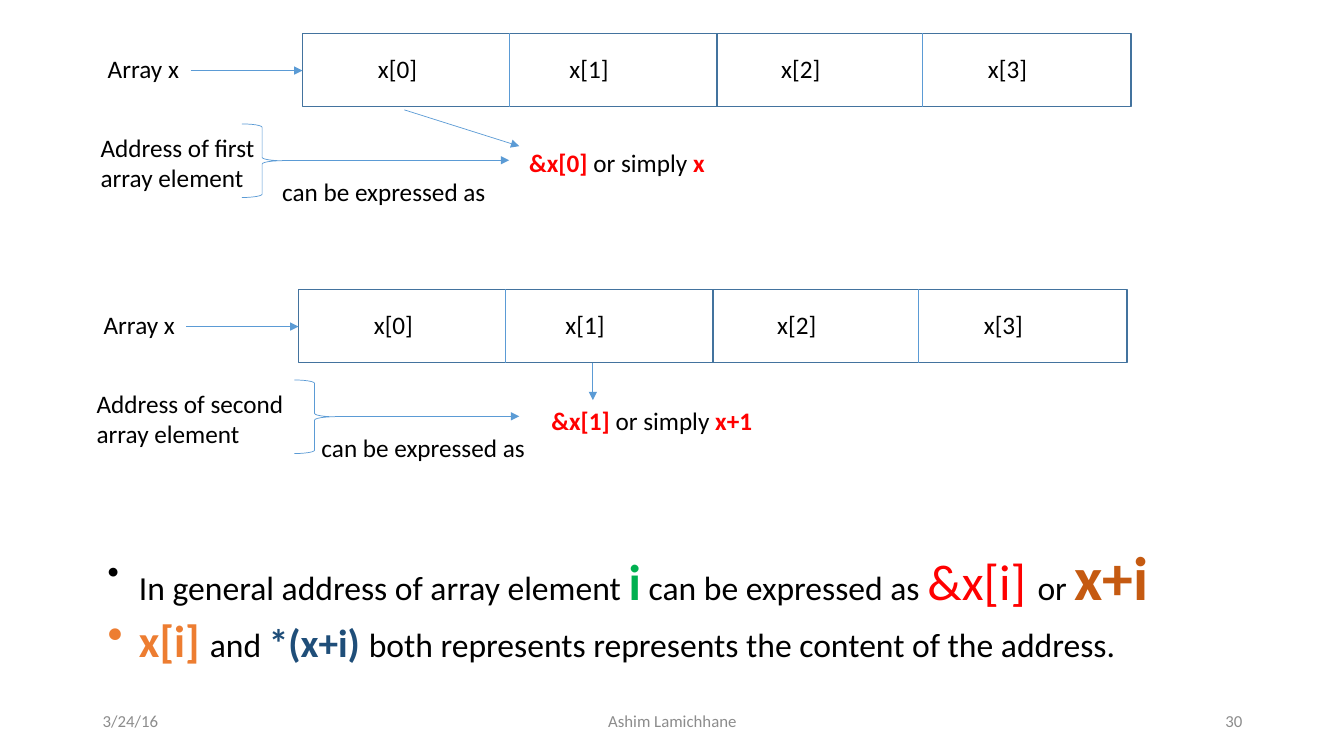
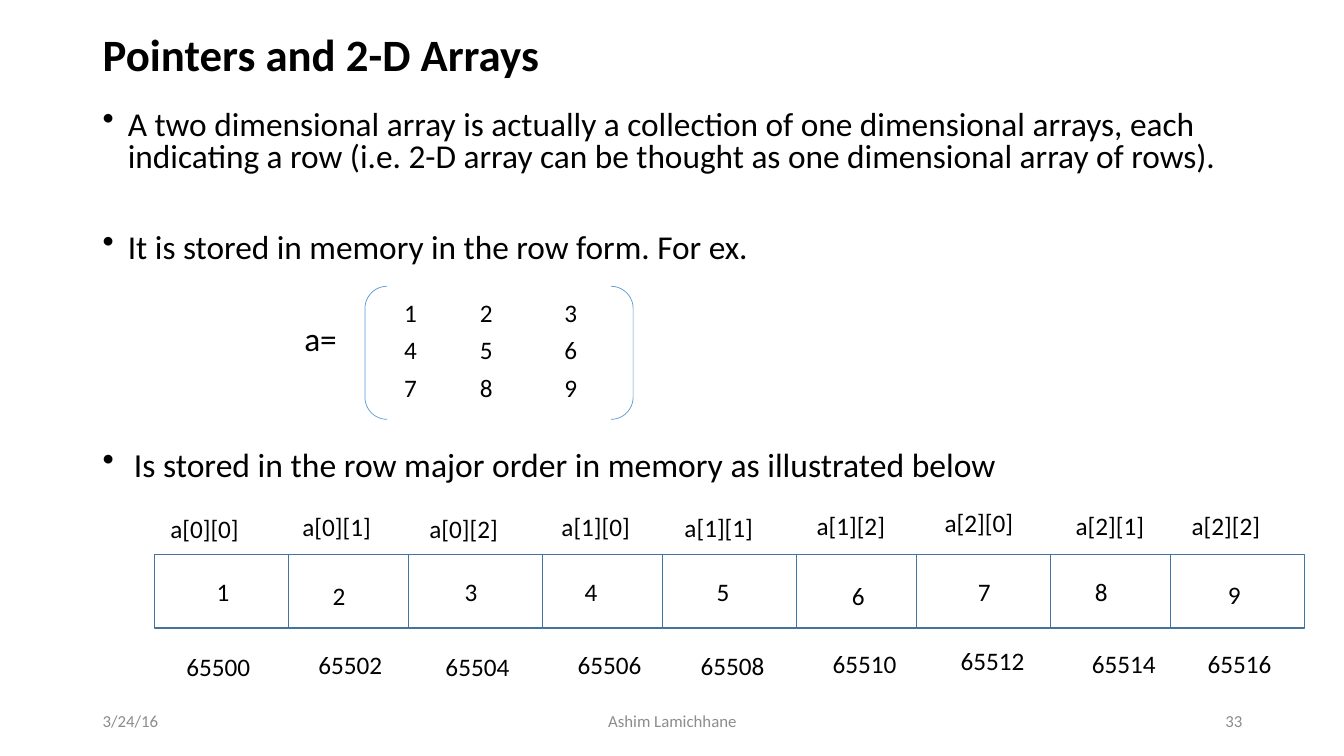
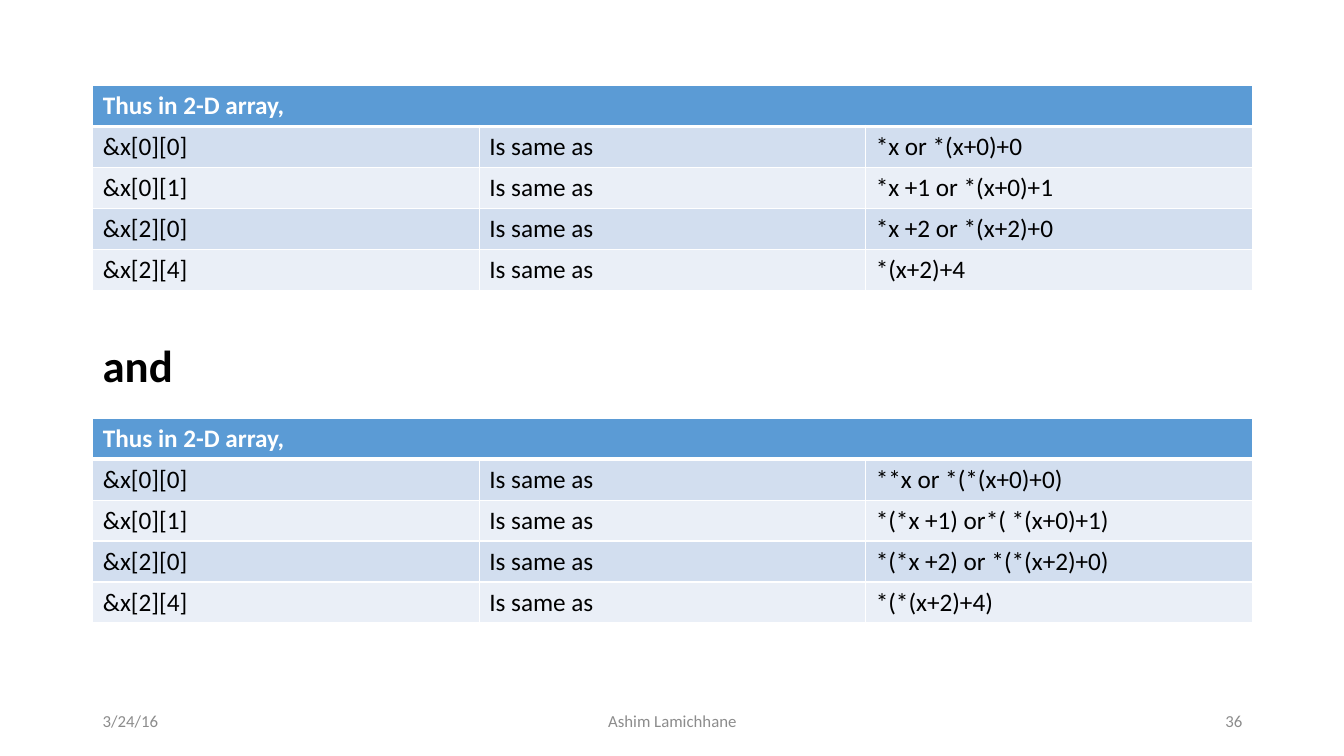
from lxml import etree
from pptx import Presentation
from pptx.dml.color import RGBColor
from pptx.enum.shapes import MSO_CONNECTOR, MSO_SHAPE
from pptx.enum.text import MSO_ANCHOR, PP_ALIGN
from pptx.oxml.ns import qn
from pptx.util import Inches, Pt

FONT = "Calibri"
BLACK, WHITE, GRAY, RED = "000000", "FFFFFF", "8C8C8C", "FF0000"
BLUE, OUTLINE = "5B9BD5", "43739E"
BANDS = ("D2DEEF", "EAEFF7")
LEFT, CENTER, RIGHT = PP_ALIGN.LEFT, PP_ALIGN.CENTER, PP_ALIGN.RIGHT
TOP, MIDDLE = MSO_ANCHOR.TOP, MSO_ANCHOR.MIDDLE
RECTANGLE, BRACE = MSO_SHAPE.RECTANGLE, MSO_SHAPE.RIGHT_BRACE
BRACKETS, STRAIGHT = MSO_SHAPE.DOUBLE_BRACKET, MSO_CONNECTOR.STRAIGHT
MARGIN, CONTENT_WIDTH = 0.92, 11.5
CELL_HEIGHT, LABEL_HEIGHT = 0.73, 0.4


def rgb(color):
    """Turn a hex string into a colour."""
    return RGBColor.from_string(color)


def style(span, size=18, color=BLACK, bold=False):
    """Set the font of one run."""
    span.font.name = FONT
    span.font.size = Pt(size)
    span.font.bold = bold
    span.font.color.rgb = rgb(color)


def add_text(slide, box, text, size=18, color=BLACK, bold=False, align=LEFT, anchor=TOP):
    """Add a text box with one style and return its paragraphs."""
    frame = slide.shapes.add_textbox(*map(Inches, box)).text_frame
    frame.word_wrap = True
    frame.vertical_anchor = anchor
    frame.text = text
    for para in frame.paragraphs:
        para.alignment = align
        for span in para.runs:
            style(span, size, color, bold)
    return frame.paragraphs


def add_spans(para, spans):
    """Fill a paragraph with runs given as text, size, colour and weight."""
    for text, *look in spans:
        span = para.add_run()
        span.text = text
        style(span, *look)


def indent(para, left, bullet=True):
    """Indent a paragraph, with a hanging bullet if wanted."""
    properties = para._p.get_or_add_pPr()
    properties.set("marL", str(Inches(left)))
    properties.set("indent", str(Inches(-left if bullet else 0)))
    if bullet:
        etree.SubElement(properties, qn("a:buChar"), char="•")


def add_outline(slide, kind, box, color=BLUE, width=0.5):
    """Add an unfilled preset shape."""
    shape = slide.shapes.add_shape(kind, *map(Inches, box))
    shape.shadow.inherit = False
    shape.fill.background()
    shape.line.color.rgb = rgb(color)
    shape.line.width = Pt(width)


def add_line(slide, start, end, arrow=False):
    """Add a thin straight line, with an arrowhead at its end if wanted."""
    line = slide.shapes.add_connector(STRAIGHT, *map(Inches, start + end))
    line.line.color.rgb = rgb(BLUE)
    line.line.width = Pt(0.5)
    properties = line._element.spPr
    if arrow:
        etree.SubElement(properties.find(qn("a:ln")), qn("a:tailEnd"), type="triangle")
    etree.SubElement(properties, qn("a:effectLst"))


def add_title(slide, top, text):
    """Add a bold heading."""
    box = (MARGIN, top, CONTENT_WIDTH, 0.78)
    add_text(slide, box, text, 32, bold=True, anchor=MIDDLE)[0].line_spacing = 0.9


def add_page(deck, number):
    """Add a blank slide with the shared footer."""
    slide = deck.slides.add_slide(deck.slide_layouts[6])
    footer = (
        (MARGIN, 3, "3/24/16", LEFT),
        (4.42, 4.5, "Ashim Lamichhane", CENTER),
        (9.42, 3, str(number), RIGHT),
    )
    for left, width, text, align in footer:
        add_text(slide, (left, 6.95, width, 0.4), text, 12, GRAY, align=align, anchor=MIDDLE)
    return slide


def add_array(slide, left, top, ordinal, brace, arrow_end, note, result, names, pointer):
    """Draw a four-cell array and the address of one element, relative to its corner."""
    def label(x, y, width, text, height=LABEL_HEIGHT):
        return add_text(slide, (left + x, top + y, width, height), text)

    def line(start, end, arrow=True):
        add_line(slide, (left + start[0], top + start[1]), (left + end[0], top + end[1]), arrow)

    for half in (0, 4.11):
        add_outline(slide, RECTANGLE, (left + half, top, 4.11, CELL_HEIGHT), OUTLINE, 1)
    for divider in (2.05, 6.15):
        line((divider, 0), (divider, CELL_HEIGHT), False)
    for index, x in enumerate((0.65, 2.55, 4.65, 6.7)):
        label(x, 0.15, 0.73, f"x[{index}]")
    label(-2.03, 0.15, 1.5, "Array x")
    line((-1.11, 0.37), (0, 0.37))
    label(-2.1, 0.93, 2.14, f"Address of {ordinal}\narray element", 0.71)
    add_outline(slide, BRACE, (left + brace, top + 0.9, 0.4, CELL_HEIGHT))
    line((brace + 0.4, 1.26), (arrow_end, 1.26))
    label(note, 1.37, 2.25, "can be expressed as")
    address, short = names
    para = label(*result, 2.39, "")[0]
    add_spans(para, ((address, 18, RED, True), (" or simply ",), (short, 18, RED, True)))
    line(*pointer)


def add_summary(slide, box):
    """Add the two bullets with emphasised expressions."""
    lines = (
        (
            ("In general address of array element ", 24),
            ("i", 36, "00B050", True),
            (" ", 24, BLACK, True),
            ("can be expressed as ", 24),
            ("&x[i] ", 36, RED),
            ("or ", 24),
            ("x+i", 44, "C55A11", True),
        ),
        (
            ("x[i] ", 32, "ED7D31", True),
            ("and ", 24),
            ("*(x+i) ", 28, "1F4E79", True),
            ("both represents represents the content of the address.", 24),
        ),
    )
    for para, spans in zip(add_text(slide, box, "\n"), lines):
        add_spans(para, spans)
        indent(para, 0.31)


def add_matrix(slide, left, top):
    """Draw the bracketed three by three matrix."""
    add_outline(slide, BRACKETS, (left, top, 2.66, 1.32))
    for index in range(9):
        x = left + (0.29, 1.04, 1.88)[index % 3]
        y = top + 0.06 + 0.37 * (index // 3)
        add_text(slide, (x, y, 0.35, LABEL_HEIGHT), str(index + 1))


def add_memory(slide, left, top):
    """Draw nine memory cells with names above and addresses below."""
    label_shifts = (0.06, 0.04, 0.11, 0.09, 0.12, 0.1, 0.18, 0.15, 0.11)
    label_rises = (0.46, 0.48, 0.46, 0.48, 0.47, 0.49, 0.52, 0.49, 0.49)
    value_shifts = (0.52, 0.34, 0.46, 0.32, 0.44, 0.45, 0.51, 0.34, 0.47)
    value_drops = (0.17, 0.21, 0.17, 0.17, 0.17, 0.21, 0.17, 0.17, 0.2)
    places = zip(label_shifts, label_rises, value_shifts, value_drops)
    for index, (shift, rise, value_shift, drop) in enumerate(places):
        width = 1.19 if index % 2 else 1.33
        add_outline(slide, RECTANGLE, (left, top, width, CELL_HEIGHT), OUTLINE, 1)
        row, column = divmod(index, 3)
        labels = (
            (shift, -rise, 1.12, f"a[{row}][{column}]"),
            (value_shift, drop, 0.4, str(index + 1)),
            (shift + 0.16, 1.37 - rise, 1.12, str(65500 + 2 * index)),
        )
        for x, y, label_width, text in labels:
            add_text(slide, (left + x, top + y, label_width, LABEL_HEIGHT), text)
        left += width


def paint_cell(cell, fill, top_width, bottom_width):
    """Give a table cell white borders and a fill."""
    properties = cell._tc.get_or_add_tcPr()
    for side, width in (("L", 1), ("R", 1), ("T", top_width), ("B", bottom_width)):
        border = etree.SubElement(properties, qn(f"a:ln{side}"), w=str(Pt(width)))
        solid = etree.SubElement(border, qn("a:solidFill"))
        etree.SubElement(solid, qn("a:srgbClr"), val=WHITE)
    cell.fill.solid()
    cell.fill.fore_color.rgb = rgb(fill)


def add_equivalents(slide, top, expressions):
    """Add a banded table of equivalent pointer expressions."""
    box = (MARGIN, top, CONTENT_WIDTH, 2.03)
    table = slide.shapes.add_table(5, 3, *map(Inches, box)).table
    elements = ("&x[0][0]", "&x[0][1]", "&x[2][0]", "&x[2][4]")
    rows = [("Thus in 2-D array,", "", "")]
    rows += [(element, "Is same as", same) for element, same in zip(elements, expressions)]
    for index, texts in enumerate(rows):
        header = index == 0
        fill = BLUE if header else BANDS[(index - 1) % 2]
        for column, text in enumerate(texts):
            cell = table.cell(index, column)
            paint_cell(cell, fill, 3 if index == 1 else 1, 3 if header else 1)
            cell.text = text
            for span in cell.text_frame.paragraphs[0].runs:
                style(span, 18, WHITE if header else BLACK, header)
    table.cell(0, 0).merge(table.cell(0, 2))


def build_addresses(deck):
    """Build the slide on addresses of array elements."""
    slide = add_page(deck, 30)
    add_array(slide, 3, 0.33, "first", -0.6, 2.05, -0.3, (2.15, 1.08),
              ("&x[0]", "x"), ((1.01, 0.76), (2.15, 1.12)))
    add_array(slide, 2.96, 2.87, "second", -0.04, 2.19, 0.13, (2.41, 1.1),
              ("&x[1]", "x+1"), ((2.92, 0.73), (2.92, 1.1)))
    add_summary(slide, (0.97, 5.3, 11.44, 1.38))


def build_two_dimensions(deck):
    """Build the slide on two-dimensional arrays in memory."""
    slide = add_page(deck, 33)
    add_title(slide, 0.18, "Pointers and 2-D Arrays")
    text = "\n".join((
        "A two dimensional array is actually a collection of one dimensional arrays, "
        "each indicating a row (i.e. 2-D array can be thought as one dimensional array of rows).",
        "It is stored in memory in the row form. For ex.",
        "a=",
    ))
    paras = add_text(slide, (MARGIN, 1.05, CONTENT_WIDTH, 2.62), text, 23.8)
    layout = ((10, 0.25, True), (42, 0.25, True), (43, 2, False))
    for para, (space, left, bullet) in zip(paras, layout):
        para.line_spacing = 0.8
        para.space_before = Pt(space)
        indent(para, left, bullet)
    add_matrix(slide, 3.62, 2.84)
    order = "Is stored in the row major order in memory as illustrated below"
    indent(add_text(slide, (MARGIN, 4.35, 11.43, 0.5), order, 24)[0], 0.31)
    add_memory(slide, 1.53, 5.5)


def build_equivalents(deck):
    """Build the slide with both tables of expressions."""
    slide = add_page(deck, 36)
    add_title(slide, 3.26, "and")
    add_equivalents(slide, 0.85, (
        "*x or *(x+0)+0", "*x +1 or *(x+0)+1", "*x +2 or *(x+2)+0", "*(x+2)+4"))
    add_equivalents(slide, 4.15, (
        "**x or *(*(x+0)+0)", "*(*x +1) or*( *(x+0)+1)",
        "*(*x +2) or *(*(x+2)+0)", "*(*(x+2)+4)"))


def main():
    """Build and save the deck."""
    deck = Presentation()
    deck.slide_width, deck.slide_height = Inches(13.33), Inches(7.5)
    build_addresses(deck)
    build_two_dimensions(deck)
    build_equivalents(deck)
    deck.save("out.pptx")


if __name__ == "__main__":
    main()
